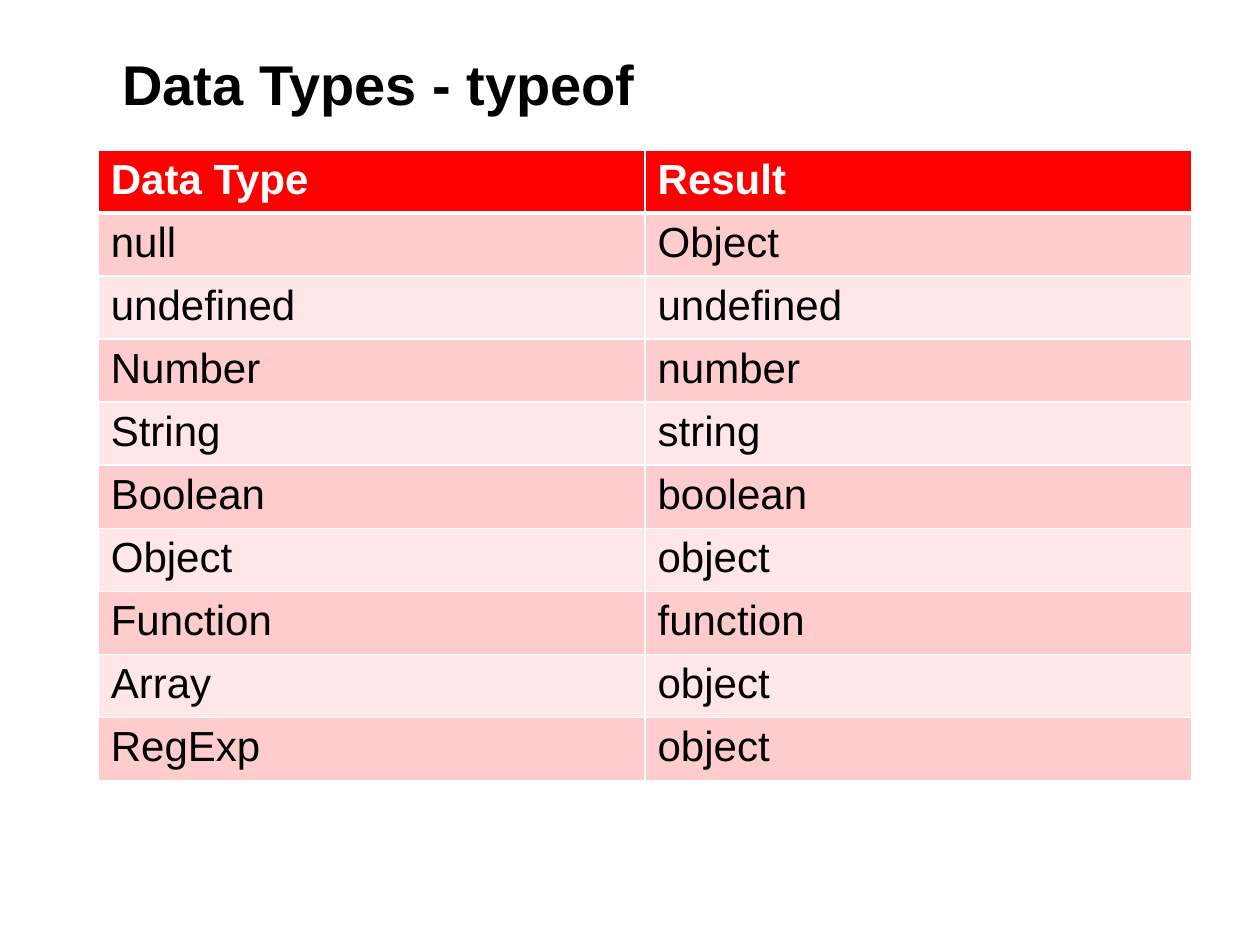
from pptx import Presentation
from pptx.dml.color import RGBColor
from pptx.enum.text import MSO_ANCHOR as Anchor
from pptx.oxml import parse_xml
from pptx.oxml.ns import nsdecls
from pptx.util import Inches, Pt

WHITE, BLACK, RED = "FFFFFF", "000000", "FD0000"
BANDS = ("FECCCC", "FFE7E7")
TYPE_RESULTS = [
    ("Data Type", "Result"),
    ("null", "Object"),
    ("undefined", "undefined"),
    ("Number", "number"),
    ("String", "string"),
    ("Boolean", "boolean"),
    ("Object", "object"),
    ("Function", "function"),
    ("Array", "object"),
    ("RegExp", "object"),
]


def color(hex_value):
    return RGBColor.from_string(hex_value)


class SlideBuilder:
    font = "Arial"

    def __init__(self, deck):
        self.slide = deck.slides.add_slide(deck.slide_layouts[6])

    def set_text(self, frame, text, size, ink, bold):
        paragraph = frame.paragraphs[0]
        paragraph.text = text
        style = {"name": self.font, "size": Pt(size), "bold": bold}
        font = paragraph.runs[0].font
        for attribute, value in style.items():
            setattr(font, attribute, value)
        font.color.rgb = color(ink)

    def title(self, text, left, top, width, height):
        box = self.slide.shapes.add_textbox(
            Inches(left), Inches(top), Inches(width), Inches(height))
        frame = box.text_frame
        layout = {"word_wrap": True, "vertical_anchor": Anchor.TOP,
                  "margin_left": 0, "margin_right": 0,
                  "margin_top": Inches(0.06), "margin_bottom": 0}
        for attribute, value in layout.items():
            setattr(frame, attribute, value)
        self.set_text(frame, text, 32, BLACK, True)

    def border(self, cell, side, points):
        line = parse_xml(
            f'<a:ln{side} {nsdecls("a")} w="{Pt(points)}"><a:solidFill>'
            f'<a:srgbClr val="{WHITE}"/></a:solidFill></a:ln{side}>')
        cell._tc.get_or_add_tcPr().append(line)

    def table(self, rows, left, top, width, row_height):
        grid = self.slide.shapes.add_table(
            len(rows), len(rows[0]), Inches(left), Inches(top),
            Inches(width), Inches(row_height * len(rows))).table
        for row, values in enumerate(rows):
            header = row == 0
            fill = RED if header else BANDS[(row - 1) % 2]
            widths = {"L": 1, "R": 1, "T": 3 if row == 1 else 1,
                      "B": 3 if header else 1}
            for column, text in enumerate(values):
                cell = grid.cell(row, column)
                for side, points in widths.items():
                    self.border(cell, side, points)
                cell.fill.solid()
                cell.fill.fore_color.rgb = color(fill)
                self.set_text(cell.text_frame, text, 24,
                              WHITE if header else BLACK, header)


def main():
    deck = Presentation()
    deck.slide_width, deck.slide_height = Inches(10), Inches(7.5)
    builder = SlideBuilder(deck)
    builder.title("Data Types - typeof", 0.97, 0.33, 8.29, 1.03)
    builder.table(TYPE_RESULTS, 0.78, 1.19, 8.68, 0.48)
    deck.save("out.pptx")


if __name__ == "__main__":
    main()
